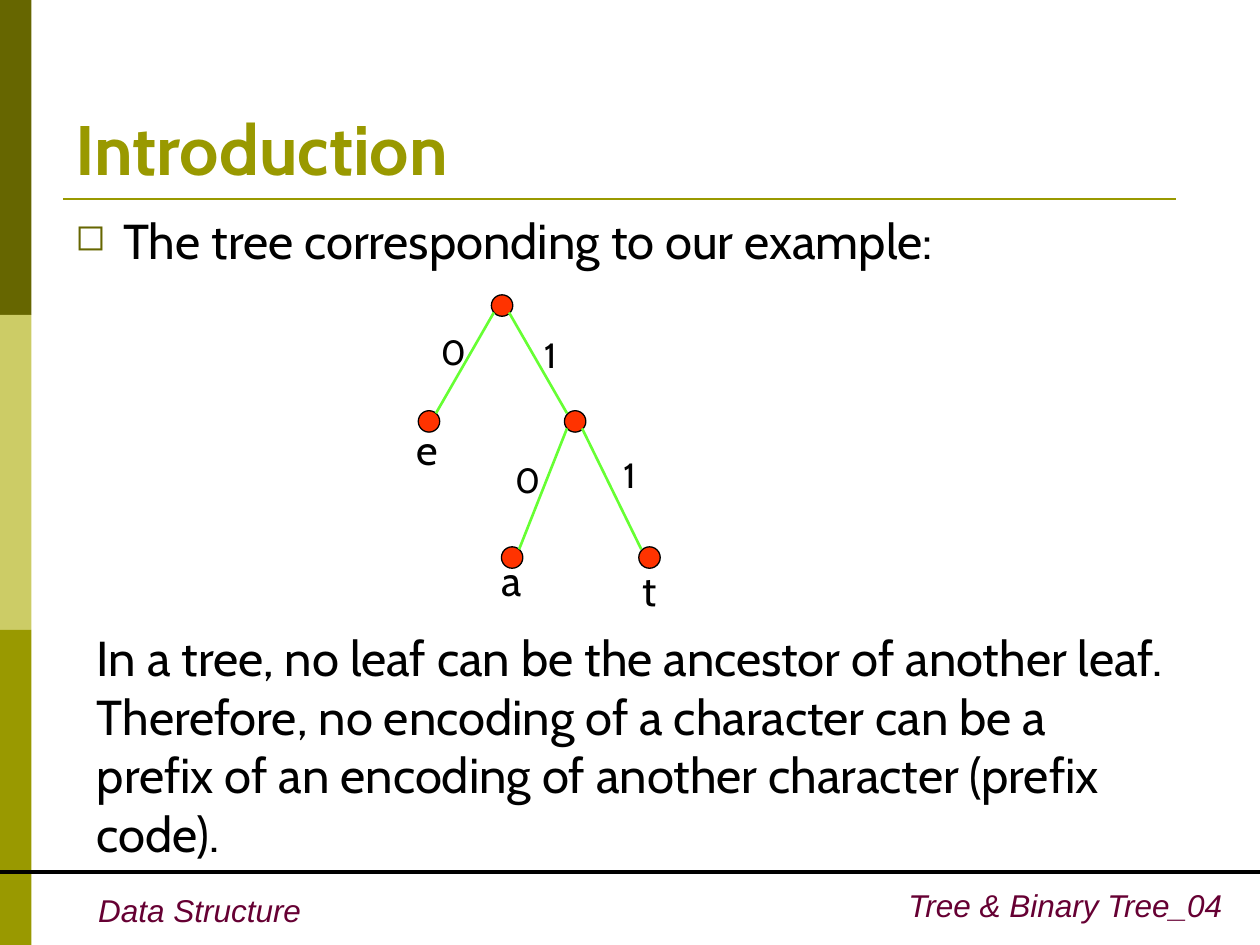
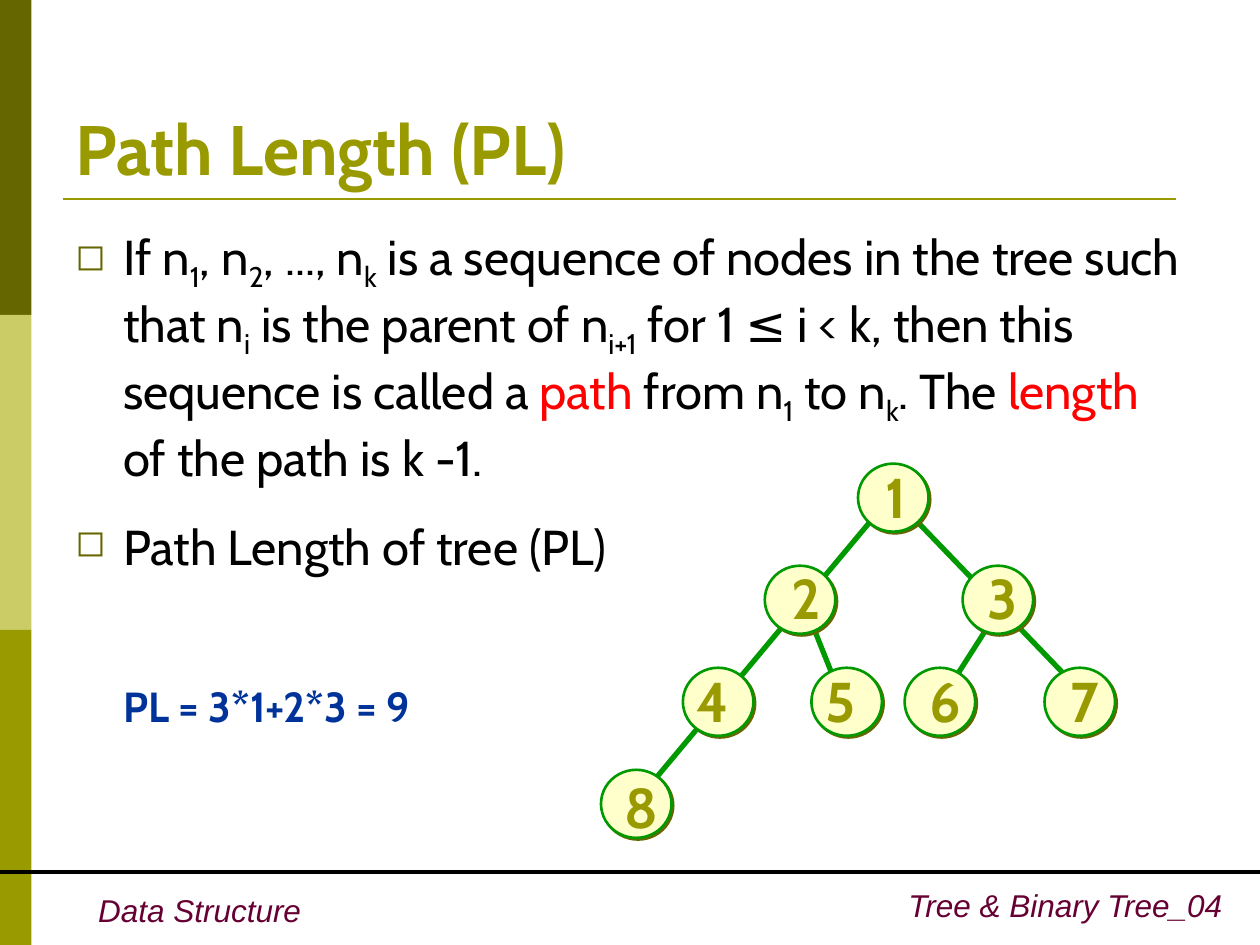
from lxml import etree
from pptx import Presentation
from pptx.dml.color import RGBColor
from pptx.enum import shapes, text
from pptx.oxml import ns
from pptx.util import Inches, Pt

DARK_OLIVE = RGBColor(0x66, 0x66, 0x00)
PALE_OLIVE = RGBColor(0xCC, 0xCC, 0x66)
OLIVE = RGBColor(0x99, 0x99, 0x00)
PLUM = RGBColor(0x66, 0x00, 0x33)
BLACK = RGBColor(0x00, 0x00, 0x00)
RED = RGBColor(0xFF, 0x00, 0x00)
NAVY = RGBColor(0x00, 0x33, 0x99)
DOT_RED = RGBColor(0xFF, 0x33, 0x00)
LIME = RGBColor(0x66, 0xFF, 0x33)
GREEN = RGBColor(0x00, 0x99, 0x00)
CREAM = RGBColor(0xFF, 0xFF, 0xCC)
OVAL = shapes.MSO_SHAPE.OVAL
LEFT, CENTER, RIGHT = text.PP_ALIGN.LEFT, text.PP_ALIGN.CENTER, text.PP_ALIGN.RIGHT
TOP, MIDDLE, BOTTOM = text.MSO_ANCHOR.TOP, text.MSO_ANCHOR.MIDDLE, text.MSO_ANCHOR.BOTTOM


def add_text(slide, box, paragraphs, size, color=BLACK, face="Cabin", bold=False,
             italic=False, align=LEFT, anchor=TOP, wrap=True, bullet=False):
    frame = slide.shapes.add_textbox(*map(Inches, box)).text_frame
    frame.word_wrap = wrap
    frame.vertical_anchor = anchor
    if not wrap:
        frame.auto_size = text.MSO_AUTO_SIZE.SHAPE_TO_FIT_TEXT
    for index, runs in enumerate(paragraphs):
        paragraph = frame.add_paragraph() if index else frame.paragraphs[0]
        paragraph.alignment = align
        if bullet:
            props = paragraph._p.get_or_add_pPr()
            props.set("marL", str(Inches(0.38)))
            props.set("indent", str(-Inches(0.38)))
            bullet_color = etree.SubElement(props, ns.qn("a:buClr"))
            etree.SubElement(bullet_color, ns.qn("a:srgbClr"), val=str(DARK_OLIVE))
            etree.SubElement(props, ns.qn("a:buSzPct"), val="75000")
            etree.SubElement(props, ns.qn("a:buChar"), char="◻")
        if index:
            paragraph.space_before = Pt(17.5)
        for words, style in runs:
            run = paragraph.add_run()
            run.text = words
            run.font.name, run.font.size = face, Pt(size)
            run.font.bold, run.font.italic = bold, italic
            run.font.color.rgb = RED if style == "key" else color
            if style == "sub":
                run._r.get_or_add_rPr().set("baseline", "-25000")


def add_line(slide, start, end, color, width):
    line = slide.shapes.add_connector(shapes.MSO_CONNECTOR.STRAIGHT,
                                      *map(Inches, (*start, *end)))
    line.line.color.rgb = color
    line.line.width = Pt(width)
    etree.SubElement(line._element.spPr, ns.qn("a:effectLst"))


prs = Presentation()
prs.slide_width, prs.slide_height = Inches(10), Inches(7.5)

slides = []
for title in ("Introduction", "Path Length (PL)"):
    slide = prs.slides.add_slide(prs.slide_layouts[6])
    slides.append(slide)
    for step, color in enumerate((DARK_OLIVE, PALE_OLIVE, OLIVE)):
        band = slide.shapes.add_shape(shapes.MSO_SHAPE.RECTANGLE, 0, Inches(2.5 * step),
                                      Inches(0.25), Inches(2.5))
        band.shadow.inherit = False
        band.fill.solid()
        band.fill.fore_color.rgb = color
        band.line.fill.background()
    add_line(slide, (0.5, 1.58), (9.33, 1.58), OLIVE, 1.5)
    add_text(slide, (0.68, 7.02, 1.81, 0.4), [[("Data Structure", "")]], 18, PLUM,
             face="Arial", italic=True, wrap=False)
    add_text(slide, (6.73, 6.98, 3.07, 0.4), [[("Tree & Binary Tree_04", "")]], 18, PLUM,
             face="Arial", italic=True, align=RIGHT)
    add_line(slide, (0, 6.92), (10, 6.92), BLACK, 2.25)
    add_text(slide, (0.5, 0.3, 9, 1.25), [[(title, "")]], 40, OLIVE, bold=True, anchor=BOTTOM)

intro, path_length = slides

add_text(intro, (0.5, 1.62, 9, 0.58), [[("The tree corresponding to our example:", "")]],
         28, bullet=True)

root, leaf_e, inner, leaf_a, leaf_t = code_nodes = [
    (3.98, 2.42), (3.4, 3.34), (4.56, 3.34), (4.06, 4.42), (5.15, 4.42)]
for x, y in code_nodes:
    dot = intro.shapes.add_shape(OVAL, Inches(x - 0.08), Inches(y - 0.08),
                                 Inches(0.17), Inches(0.17))
    dot.shadow.inherit = False
    dot.fill.solid()
    dot.fill.fore_color.rgb = DOT_RED
    dot.line.color.rgb = BLACK
    dot.line.width = Pt(0.75)
for parent, child in ((root, leaf_e), (root, inner), (inner, leaf_a), (inner, leaf_t)):
    side = 0.06 if child[0] > parent[0] else -0.06
    add_line(intro, (parent[0] + side, parent[1] + 0.06),
             (child[0] - side, child[1] - 0.06), LIME, 1.5)

for bit, x, y in (("0", 3.4, 2.57), ("0", 3.99, 3.59), ("1", 4.22, 2.6), ("1", 4.85, 3.55)):
    add_text(intro, (x, y, 0.36, 0.44), [[(bit, "")]], 20, wrap=False)
for letter, x, y, width in (("e", 3.21, 3.31, 0.39), ("a", 3.88, 4.35, 0.38),
                            ("t", 5, 4.43, 0.32)):
    add_text(intro, (x, y, width, 0.5), [[(letter, "")]], 24, wrap=False)
add_text(intro, (0.67, 4.93, 8.66, 1.97), [[(
    "In a tree, no leaf can be the ancestor of another leaf. Therefore, no encoding of a "
    "character can be a prefix of an encoding of another character (prefix code).", "")]], 28)

definition = [
    ("If n", ""), ("1", "sub"), (", n", ""), ("2", "sub"), (", ..., n", ""), ("k", "sub"),
    (" is a sequence of nodes in the tree such that n", ""), ("i", "sub"),
    (" is the parent of n", ""), ("i+1", "sub"),
    (" for 1 ≤ i < k, then this sequence is called a ", ""), ("path", "key"),
    (" from n", ""), ("1", "sub"), (" to n", ""), ("k", "sub"), (". The ", ""),
    ("length", "key"), (" of the path is k -1.", "")]
add_text(path_length, (0.5, 1.75, 9, 3.2),
         [definition, [("Path Length of tree (PL)", "")]], 28, bullet=True)
add_text(path_length, (0.88, 5.35, 4, 0.5), [[("PL = 3*1+2*3 = 9", "")]], 24, NAVY, bold=True)

for start, end in (((7.92, 4.85), (7.46, 5.57)), ((6.44, 4.94), (6.62, 5.39)),
                   ((7.27, 4.13), (8.57, 5.48)), ((6.99, 4.04), (4.96, 6.47))):
    add_line(path_length, start, end, GREEN, 3)

tree_nodes = [("1", 0, 6.81, 6.78), ("2", 1, 6.07, 6.07), ("3", 1, 7.64, 7.63),
              ("4", 2, 5.42, 5.33), ("5", 2, 6.44, 6.34), ("6", 2, 7.18, 7.17),
              ("7", 2, 8.29, 8.28), ("8", 3, 4.77, 4.76)]
number_tops = (3.62, 4.42, 5.24, 6.08)
for number, level, node_left, number_left in tree_nodes:
    node = path_length.shapes.add_shape(OVAL, Inches(node_left), Inches(3.68 + 0.81 * level),
                                        Inches(0.56), Inches(0.54))
    node.fill.solid()
    node.fill.fore_color.rgb = CREAM
    node.line.color.rgb = GREEN
    node.line.width = Pt(1.5)
    node.shadow.inherit = False
    effects = node._element.spPr.find(ns.qn("a:effectLst"))
    shadow = etree.SubElement(effects, ns.qn("a:outerShdw"), dist=str(Pt(1.4)),
                              dir="2700000", algn="ctr", rotWithShape="0")
    etree.SubElement(shadow, ns.qn("a:srgbClr"), val=str(DARK_OLIVE))
    add_text(path_length, (number_left, number_tops[level], 0.66, 0.64), [[(number, "")]],
             32, OLIVE, bold=True, align=CENTER, anchor=MIDDLE)

prs.save("out.pptx")
